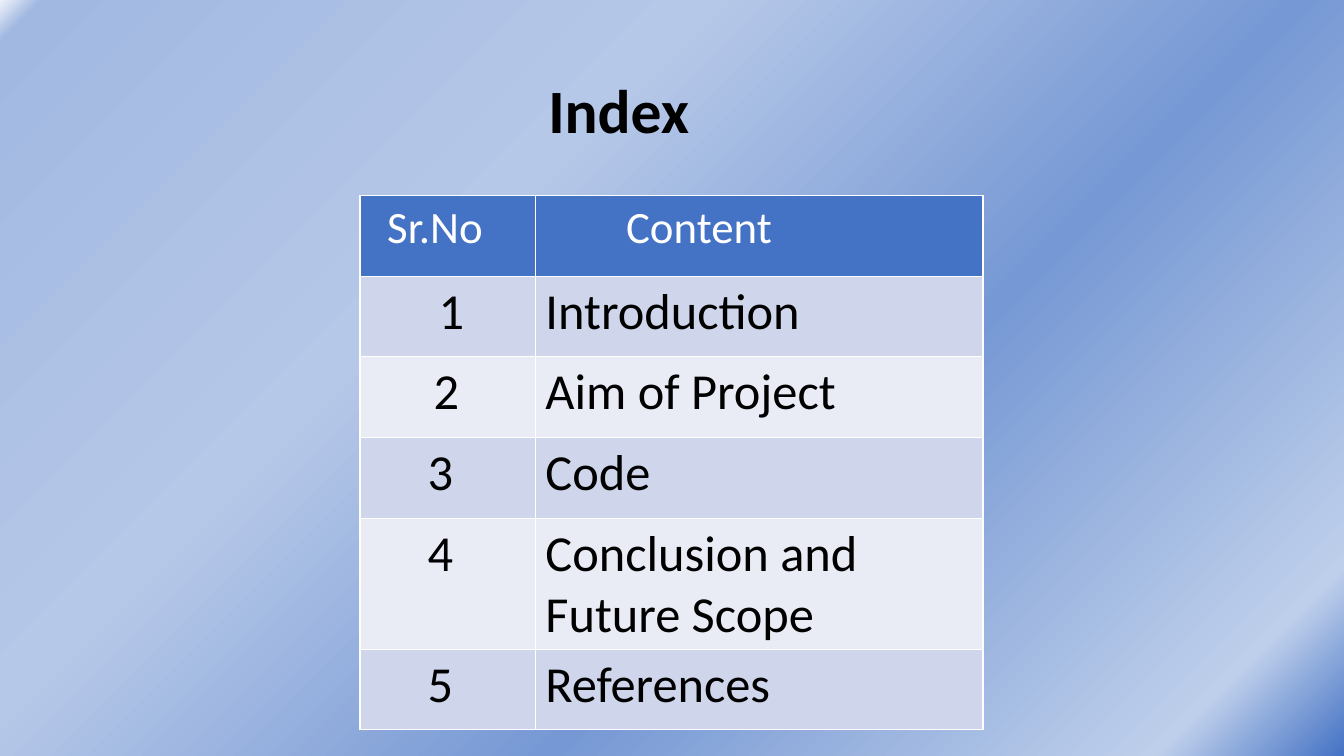
from pptx import Presentation
from pptx.dml.color import RGBColor
from pptx.enum.text import MSO_ANCHOR
from pptx.oxml import parse_xml
from pptx.oxml.ns import nsdecls
from pptx.util import Inches, Pt

MIDDLE = MSO_ANCHOR.MIDDLE
BLACK = RGBColor(0x00, 0x00, 0x00)
WHITE = RGBColor(0xFF, 0xFF, 0xFF)
BLUE = RGBColor(0x44, 0x72, 0xC4)
BAND_DARK = RGBColor(0xCF, 0xD5, 0xEA)
BAND_LIGHT = RGBColor(0xE9, 0xEB, 0xF5)
BACKDROP = [
    (0, RGBColor(0xF0, 0xF4, 0xFA)),
    (2, RGBColor(0xA1, 0xB8, 0xE1)),
    (34, RGBColor(0xB6, 0xC8, 0xE8)),
    (62, RGBColor(0x76, 0x98, 0xD4)),
    (91, RGBColor(0xBE, 0xCF, 0xEB)),
    (100, BLUE),
]
ROWS = [
    ("Sr.No", 0.17, "Content", 0.8),
    ("1", 0.68, "Introduction", 0),
    ("2", 0.63, "Aim of Project", 0),
    ("3", 0.57, "Code", 0),
    ("4", 0.57, "Conclusion and Future Scope", 0),
    ("5", 0.57, "References", 0),
]


def write(p, text, indent, **font):
    p.text = text
    p._p.get_or_add_pPr().set("marL", str(Inches(indent)))
    p._p.get_or_add_pPr().set("indent", "0")
    p.runs[0].font.color.rgb = font.pop("color")
    for name, value in font.items():
        setattr(p.runs[0].font, name, value)


prs = Presentation()
prs.slide_width = Inches(13.33)
prs.slide_height = Inches(7.5)
s = prs.slides.add_slide(prs.slide_layouts[6])

s.background.fill.gradient()
stops = "".join(
    f'<a:gs pos="{pos * 1000}"><a:srgbClr val="{color}"/></a:gs>'
    for pos, color in BACKDROP
)
gradient = parse_xml(
    f'<a:gradFill {nsdecls("a")} rotWithShape="1"><a:gsLst>{stops}</a:gsLst>'
    '<a:path path="circle"><a:fillToRect r="100000" b="100000"/></a:path>'
    "</a:gradFill>"
)
plain = s._element.xpath("./p:cSld/p:bg/p:bgPr/a:gradFill")[0]
plain.getparent().replace(plain, gradient)

title = s.shapes.add_textbox(Inches(0.92), Inches(0.4), Inches(11.5), Inches(1.45))
tf = title.text_frame
tf.word_wrap = True
tf.vertical_anchor = MIDDLE
write(tf.paragraphs[0], "Index", 4.42,
      size=Pt(44), name="Calibri", bold=True, color=BLACK)
tf.paragraphs[0].line_spacing = 0.9

table = s.shapes.add_table(
    len(ROWS), 2, Inches(3.57), Inches(1.94), Inches(6.18), Inches(4.8)
).table
for column, width in zip(table.columns, (1.74, 4.44)):
    column.width = Inches(width)
for i, (number, number_indent, content, content_indent) in enumerate(ROWS):
    table.rows[i].height = Inches(0.8)
    if i == 0:
        fill, color, size = BLUE, WHITE, 32
    else:
        fill, color, size = (BAND_DARK if i % 2 else BAND_LIGHT), BLACK, 36
    texts = [(number, number_indent), (content, content_indent)]
    for j, (text, indent) in enumerate(texts):
        cell = table.cell(i, j)
        cell.fill.solid()
        cell.fill.fore_color.rgb = fill
        write(cell.text_frame.paragraphs[0], text, indent,
              size=Pt(size), name="Calibri", bold=False, color=color)

prs.save("out.pptx")
